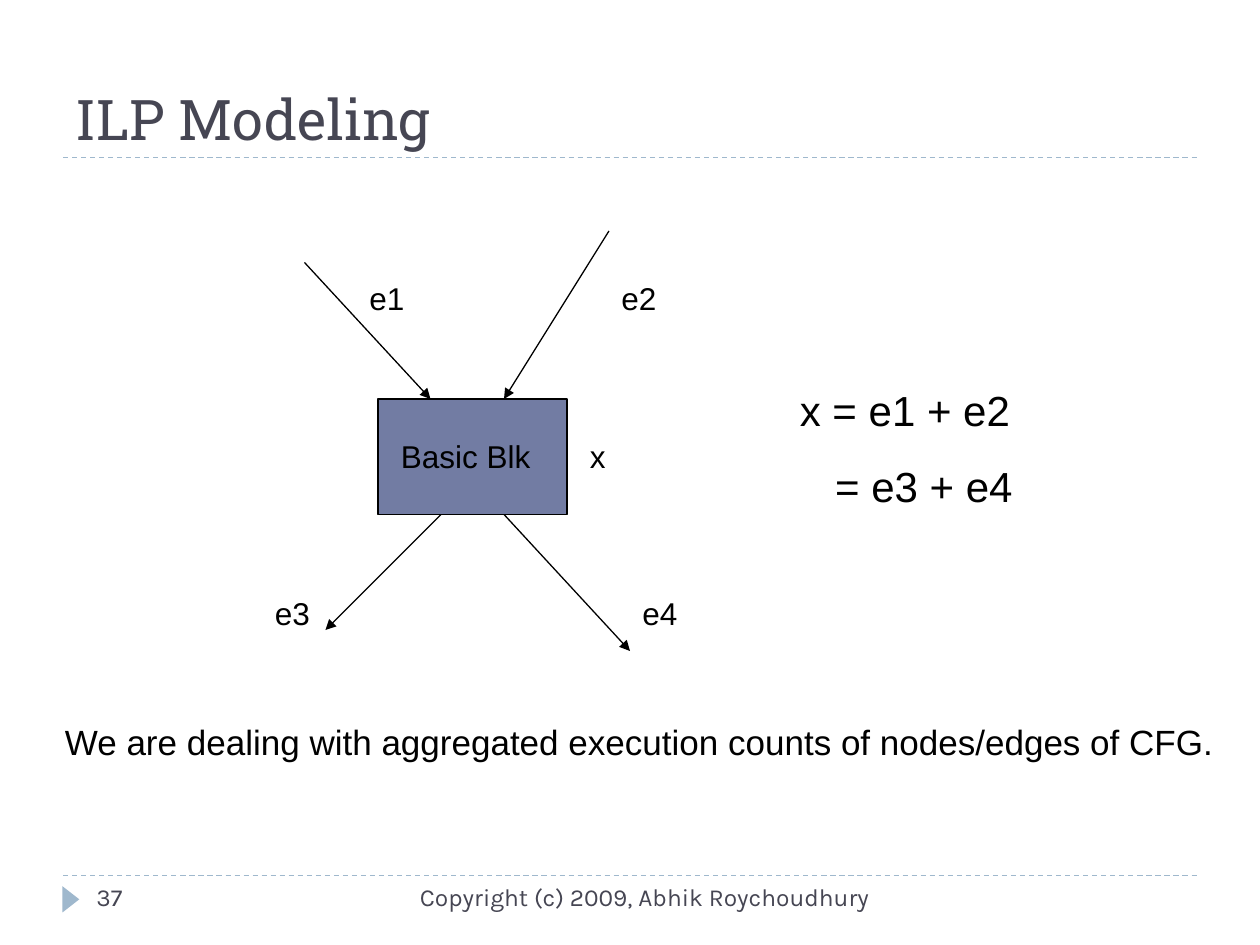
from dataclasses import dataclass

from lxml import etree
from pptx import Presentation
from pptx.dml.color import RGBColor
from pptx.enum.dml import MSO_LINE
from pptx.enum.shapes import MSO_CONNECTOR, MSO_SHAPE
from pptx.enum.text import MSO_ANCHOR, PP_ALIGN
from pptx.oxml.ns import qn
from pptx.util import Inches, Pt

RECT, TRI = MSO_SHAPE.RECTANGLE, MSO_SHAPE.ISOSCELES_TRIANGLE
LINE, DASH = MSO_CONNECTOR.STRAIGHT, MSO_LINE.DASH
LEFT, RIGHT = PP_ALIGN.LEFT, PP_ALIGN.RIGHT
TOP, BOTTOM = MSO_ANCHOR.TOP, MSO_ANCHOR.BOTTOM
COLS, ROWS = 120, 90


@dataclass(frozen=True)
class Theme:
    ink: str = "000000"
    slate: str = "464653"
    sky: str = "9FB8CD"
    block: str = "727CA3"
    head: tuple = ("Roboto Slab", 32, "464653")
    foot: tuple = ("Karla", 14, "464653")
    label: tuple = ("Arial", 18, "000000")
    note: tuple = ("Arial", 20, "000000")
    math: tuple = ("Arial", 24, "000000")
    width: float = 0.75


class Page:
    """Draws on one slide; every length is in grid columns and rows."""

    def __init__(self, deck, theme):
        self.theme = theme
        self.slide = deck.slides.add_slide(deck.slide_layouts[6])
        self.cell = deck.slide_width / COLS, deck.slide_height / ROWS

    def grid(self, *spans):
        return [round(s * self.cell[i % 2]) for i, s in enumerate(spans)]

    def text(self, at, words, style, align=LEFT, anchor=TOP, gap=0, indent=0):
        """Write one paragraph per line; gap and indent apply after the first."""
        frame = self.slide.shapes.add_textbox(*self.grid(*at)).text_frame
        frame.word_wrap = True
        frame.vertical_anchor = anchor
        frame.text = words
        name, size, color = style
        for i, par in enumerate(frame.paragraphs):
            par.alignment = align
            if i:
                par.space_before = Pt(gap)
                par._p.get_or_add_pPr().set("marL", str(Inches(indent)))
            for run in par.runs:
                run.font.name, run.font.size = name, Pt(size)
                run.font.color.rgb = RGBColor.from_string(color)

    def shape(self, kind, at, fill, line=None, turn=0):
        item = self.slide.shapes.add_shape(kind, *self.grid(*at))
        item.shadow.inherit = False
        item.rotation = turn
        item.fill.solid()
        item.fill.fore_color.rgb = RGBColor.from_string(fill)
        if line:
            self.pen(item.line, line)
        else:
            item.line.fill.background()

    def pen(self, line, color):
        line.color.rgb = RGBColor.from_string(color)
        line.width = Pt(self.theme.width)

    def line(self, start, end, color):
        item = self.slide.shapes.add_connector(LINE, *self.grid(*start, *end))
        self.pen(item.line, color)
        etree.SubElement(item._element.spPr, qn("a:effectLst"))
        return item.line

    def rule(self, row):
        self.line((6, row), (COLS - 6, row), self.theme.sky).dash_style = DASH

    def arrow(self, start, end):
        line = self.line(start, end, self.theme.ink)
        etree.SubElement(line._get_or_add_ln(), qn("a:tailEnd"), type="triangle")


def main():
    deck = Presentation()
    deck.slide_width, deck.slide_height = Inches(10), Inches(7.5)
    theme = Theme()
    page = Page(deck, theme)

    for row in (15, 83.4):
        page.rule(row)
    page.shape(TRI, (5.5, 84.85, 2.5, 1.6), theme.sky, turn=90)
    page.text((6, 2, 108, 13), "ILP Modeling", theme.head, anchor=BOTTOM)
    page.text((38, 83.4, 46, 4.8), "Copyright (c) 2009, Abhik Roychoudhury",
              theme.foot, RIGHT)
    page.text((8, 83.4, 26, 4.8), "37", theme.foot)

    page.shape(RECT, (36, 38, 18, 11), theme.block, theme.ink)
    edges = [((29, 25), (41, 38)), ((58, 22), (48, 38)),
             ((42, 49), (31, 60)), ((48, 49), (60, 62))]
    for start, end in edges:
        page.arrow(start, end)

    labels = [("Basic Blk", 37, 41, 16), ("e1", 34, 26, 12), ("e2", 58, 26, 10),
              ("e3", 25, 56, 12), ("e4", 60, 56, 12), ("x", 55, 41, 10)]
    for words, col, row, wide in labels:
        page.text((col, row, wide, 4.8), words, theme.label)

    page.text((75, 36, 41, 13.3), "x = e1 + e2\n= e3 + e4", theme.math,
              gap=15, indent=0.28)
    page.text((5, 68, 113, 5.3),
              "We are dealing with aggregated execution counts of "
              "nodes/edges of CFG.", theme.note)
    deck.save("out.pptx")


if __name__ == "__main__":
    main()
